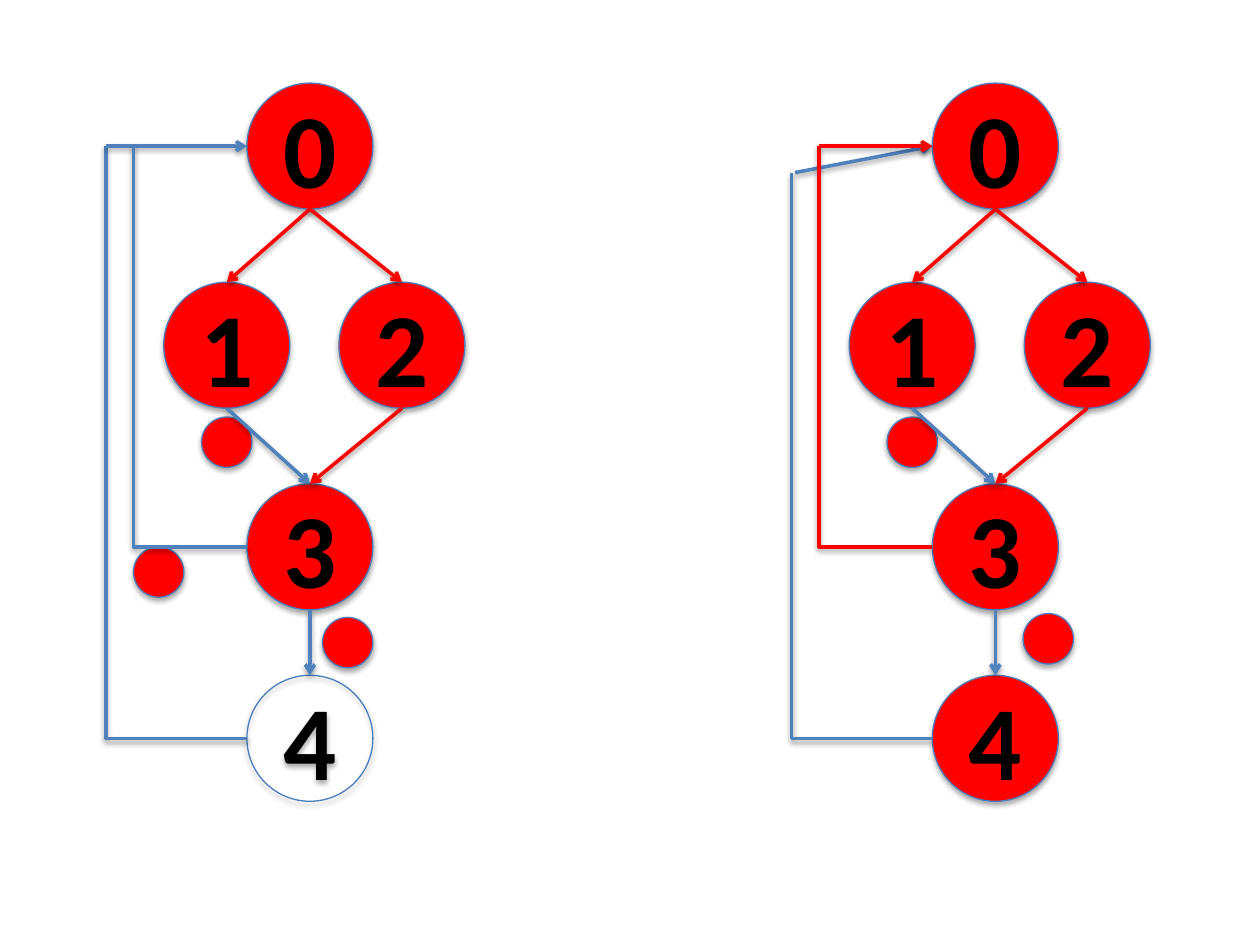
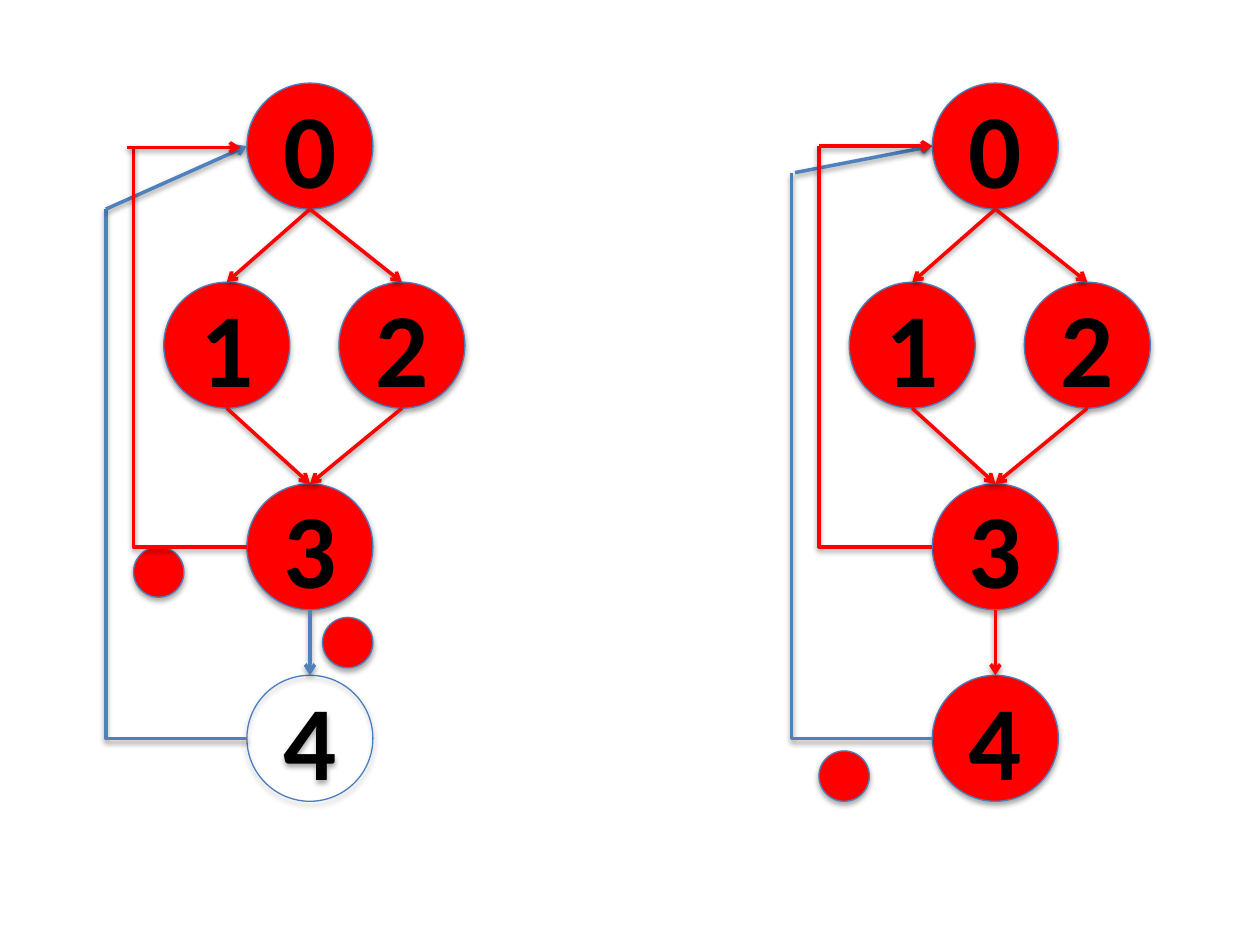
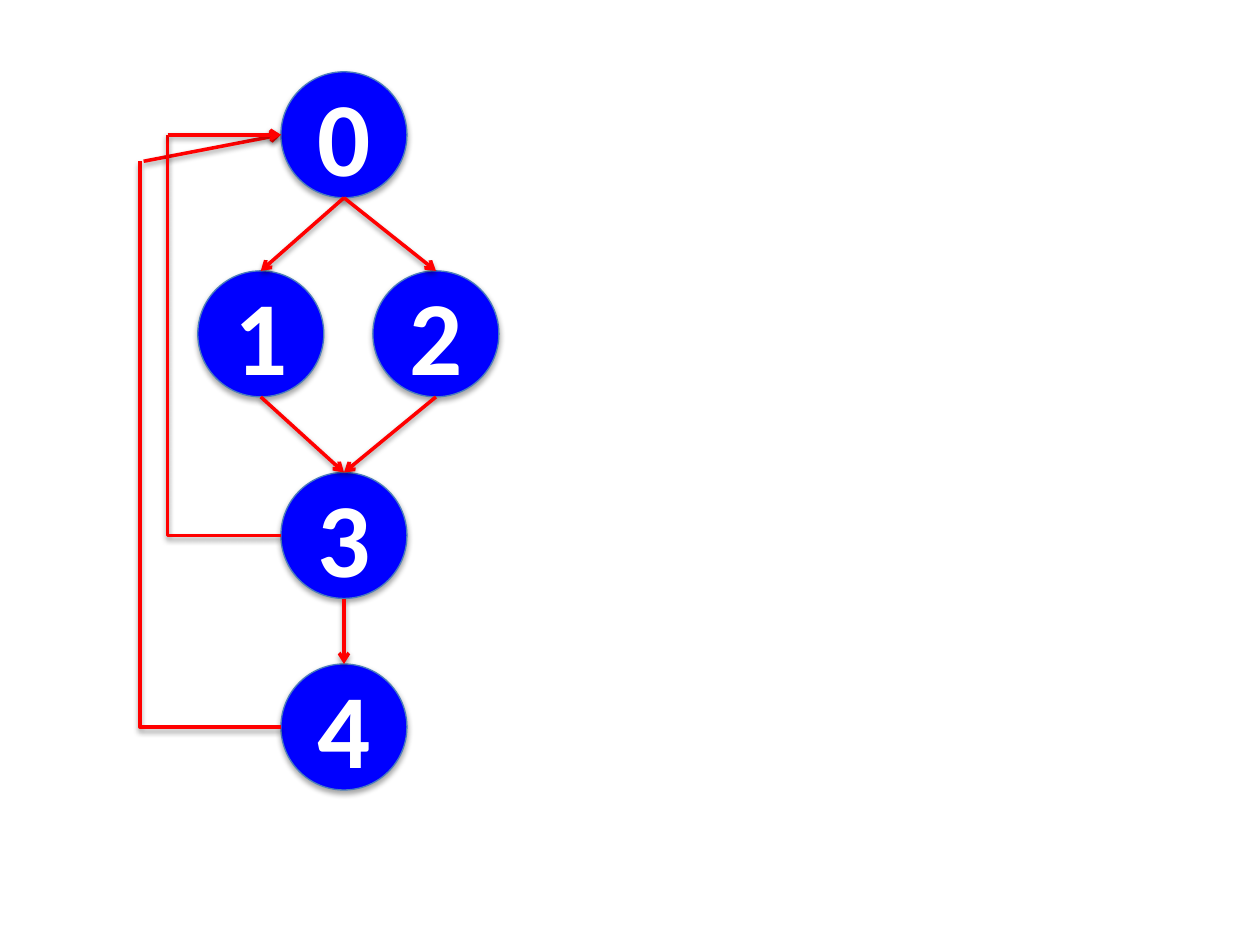
"""Build three slides of control-flow graphs with covered nodes and edges."""
from lxml import etree
from pptx import Presentation
from pptx import util as u
from pptx.dml.color import RGBColor
from pptx.enum import shapes, text
from pptx.oxml.ns import qn

RED, BLUE, STEEL, OUTLINE = "FF0000", "0000FF", "4F81BD", "4B7EBC"
BLACK, WHITE = "000000", "FFFFFF"
NODE, DOT = 1, 0.4
HALF = NODE / 2
NODES = {"0": (0, 0), "1": (-0.66, 1.58), "3": (0, 3.18), "4": (0, 4.7), "2": (0.73, 1.58)}
EDGES = ["01", "13", "34", "02", "23"]
OUTER, INNER = -1.12, -0.9
DOT_13, DOT_30 = (-0.36, 2.65), (INNER, 3.68)

GRAPHS = [
    dict(page=0, origin=(1.96, 0.66), group=True, hollow="4", covered=["01", "02", "23"],
         outer_top=0.5, outer_start=OUTER, inner_arrow=None,
         dots=[DOT_30, DOT_13, (0.6, 4.24)]),
    dict(page=0, origin=(7.4, 0.66), covered=["01", "02", "23", "30"],
         outer_top=0.71, outer_start=-1.09, inner_arrow=(INNER, 0, 0.5),
         dots=[DOT_13, (0.72, 4.21)]),
    dict(page=1, origin=(1.96, 0.66), hollow="4", covered=["01", "02", "13", "23", "30"],
         outer_top=1, outer_start=OUTER, inner_arrow=(-0.95, -0.05, 0.51),
         dots=[DOT_30, (0.6, 4.24)]),
    dict(page=1, origin=(7.4, 0.66), covered=EDGES + ["30"],
         outer_top=0.71, outer_start=-1.09, inner_arrow=(INNER, 0, 0.5),
         dots=[(INNER, 5.3)]),
    dict(page=2, origin=(2.23, 0.57), fill=BLUE, label=WHITE, covered=EDGES + ["30", "40"],
         outer_top=0.71, outer_start=-1.09, inner_arrow=(INNER, 0, 0.5), dots=[]),
]


def colour(target, value):
    """Give a fill one solid colour."""
    target.solid()
    target.fore_color.rgb = RGBColor.from_string(value)


def connect(canvas, origin, start, end, edge_colour, bent=False):
    """Draw a straight arrow, or a bent line that leaves its end to the left and up."""
    kind = shapes.MSO_CONNECTOR.ELBOW if bent else shapes.MSO_CONNECTOR.STRAIGHT
    points = [u.Inches(base + step) for point in (start, end) for base, step in zip(origin, point)]
    connector = canvas.add_connector(kind, *points)
    colour(connector.line.fill, edge_colour)
    connector.line.width = u.Pt(2)
    properties = connector._element.spPr
    if bent:
        properties.find(qn("a:xfrm")).set("rot", "10800000")
        properties.find(qn("a:prstGeom")).set("prst", "bentConnector2")
    else:
        etree.SubElement(properties.find(qn("a:ln")), qn("a:tailEnd"), type="arrow")


presentation = Presentation()
presentation.slide_width, presentation.slide_height = u.Inches(10), u.Inches(7.5)
slides = [presentation.slides.add_slide(presentation.slide_layouts[6]) for _ in range(3)]

for graph in GRAPHS:
    canvas = slides[graph["page"]].shapes
    if graph.get("group"):
        canvas = canvas.add_group_shape().shapes
    origin, covered = graph["origin"], graph["covered"]
    edge_colours = {edge: RED if edge in covered else STEEL for edge in EDGES + ["30", "40"]}

    circles = [(name, place, NODE) for name, place in NODES.items()]
    circles += [("", place, DOT) for place in graph["dots"]]
    for name, (across, down), size in circles:
        shape = canvas.add_shape(
            shapes.MSO_SHAPE.OVAL, u.Inches(origin[0] + across), u.Inches(origin[1] + down),
            u.Inches(size), u.Inches(size))
        colour(shape.line.fill, OUTLINE)
        shape.line.width = u.Pt(0.75)
        if name and name == graph.get("hollow"):
            shape.fill.background()
        else:
            colour(shape.fill, graph.get("fill", RED))
        if name:
            paragraph = shape.text_frame.paragraphs[0]
            paragraph.alignment = text.PP_ALIGN.CENTER
            run = paragraph.add_run()
            run.text = name
            run.font.name, run.font.size, run.font.bold = "Calibri", u.Pt(60), True
            colour(run.font.fill, graph.get("label", BLACK))

    for edge in EDGES:
        (start_x, start_y), (end_x, end_y) = NODES[edge[0]], NODES[edge[1]]
        connect(canvas, origin, (start_x + HALF, start_y + NODE), (end_x + HALF, end_y),
                edge_colours[edge])

    top = graph["outer_top"]
    connect(canvas, origin, (OUTER, top), (0, NODES["4"][1] + HALF), edge_colours["40"], bent=True)
    connect(canvas, origin, (graph["outer_start"], top), (0, HALF), edge_colours["40"])
    connect(canvas, origin, (INNER, HALF), (0, NODES["3"][1] + HALF), edge_colours["30"], bent=True)
    if graph["inner_arrow"]:
        start_x, end_x, level = graph["inner_arrow"]
        connect(canvas, origin, (start_x, level), (end_x, level), edge_colours["30"])

presentation.save("out.pptx")
